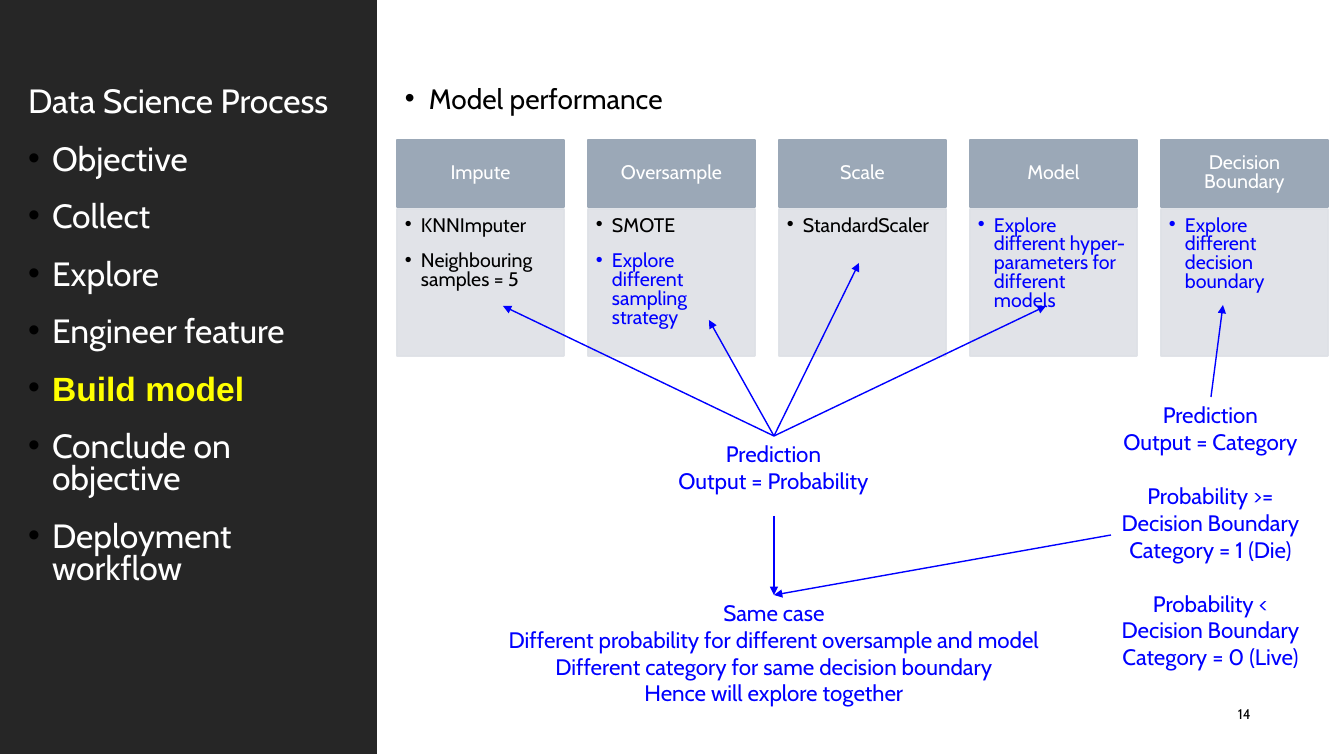
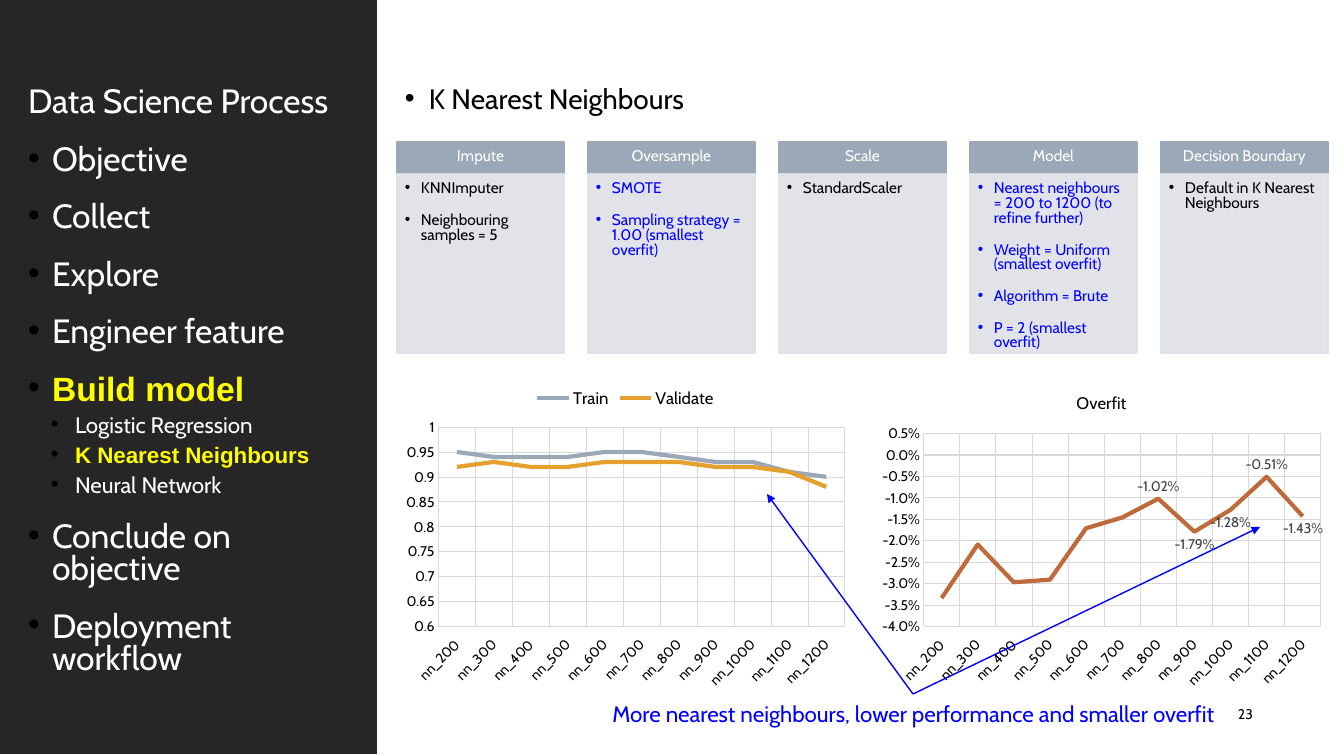
import pptx
import pptx.util
import pptx.dml.color
import pptx.chart.data
import pptx.enum.chart
import pptx.enum.shapes
import pptx.enum.text
import pptx.oxml.ns
import lxml.etree

COLORS = {
    "side": "262626", "header": "9BA8B7", "body": "DEE1E6", "white": "FFFFFF",
    "black": "000000", "active": "FFFF00", "note": "0000FF", "grid": "D9D9D9",
    "label": "404040", "train": "9BA8B7", "validate": "E6A02E", "overfit": "BF6A3B",
}
FONT, ACTIVE_FONT = "Cabin", "Arial"
STEPS = ["Objective", "Collect", "Explore", "Engineer feature", "Build model",
         "Conclude on objective", "Deployment workflow"]
MODELS = ["Logistic Regression", "K Nearest Neighbours", "Neural Network"]
ACTIVE = {"Build model", "K Nearest Neighbours"}

PERFORMANCE = {
    "title": "Model performance", "page": "14", "models": [],
    "layout": {"top": 140, "header": 67, "body_top": 209, "body": 147, "size": 14},
    "columns": [
        ("Impute", [("KNNImputer", "black"), ("Neighbouring samples = 5", "black")]),
        ("Oversample", [("SMOTE", "black"), ("Explore different sampling strategy", "note")]),
        ("Scale", [("StandardScaler", "black")]),
        ("Model", [("Explore different hyper-parameters for different models", "note")]),
        ("Decision Boundary", [("Explore different decision boundary", "note")]),
    ],
    "charts": [],
    "notes": [
        ((674, 436, 199, 80), "top", [["Prediction", "Output = Probability"]]),
        ((1111, 397, 199, 278), "top", [
            ["Prediction", "Output = Category"],
            ["Probability >= Decision Boundary", "Category = 1 (Die)"],
            ["Probability < Decision Boundary", "Category = 0 (Live)"]]),
        ((496, 595, 556, 119), "top", [[
            "Same case",
            "Different probability for different oversample and model",
            "Different category for same decision boundary",
            "Hence will explore together"]]),
    ],
    "arrows": [
        ((774, 436), [(503, 306), (709, 320), (859, 263), (1046, 306)]),
        ((1211, 397), [(1223, 305)]),
        ((774, 516), [(774, 595)]),
        ((1111, 535), [(774, 595)]),
    ],
}
NEIGHBOURS = {
    "title": "K Nearest Neighbours", "page": "23", "models": MODELS,
    "layout": {"top": 142, "header": 31, "body_top": 174, "body": 179, "size": 11},
    "columns": [
        ("Impute", [("KNNImputer", "black"), ("Neighbouring samples = 5", "black")]),
        ("Oversample", [("SMOTE", "note"),
                        ("Sampling strategy = 1.00 (smallest overfit)", "note")]),
        ("Scale", [("StandardScaler", "black")]),
        ("Model", [("Nearest neighbours = 200 to 1200 (to refine further)", "note"),
                   ("Weight = Uniform (smallest overfit)", "note"),
                   ("Algorithm = Brute", "note"),
                   ("P = 2 (smallest overfit)", "note")]),
        ("Decision Boundary", [("Default in K Nearest Neighbours", "black")]),
    ],
    "charts": [
        {"box": (397, 377, 457, 318), "title": None, "scale": (0.6, 1, 0.05),
         "formats": ("General", "General"), "labels": {},
         "series": [
             ("Train", "train", [0.95, 0.94, 0.94, 0.94, 0.95, 0.95, 0.94, 0.93, 0.93, 0.91, 0.9]),
             ("Validate", "validate",
              [0.92, 0.93, 0.92, 0.92, 0.93, 0.93, 0.93, 0.92, 0.92, 0.91, 0.88])]},
        {"box": (873, 377, 457, 318), "title": "Overfit", "scale": (-0.04, 0.005, 0.005),
         "formats": ("0.00%", "0.0%"),
         "labels": {6: "ABOVE", 7: "BELOW", 8: "BELOW", 9: "ABOVE", 10: "BELOW"},
         "series": [
             ("Overfit", "overfit", [-0.0334, -0.0209, -0.0297, -0.0291, -0.0171, -0.0146,
                                     -0.0102, -0.0179, -0.0128, -0.0051, -0.0143])]},
    ],
    "notes": [((596, 694, 635, 40), "middle",
               [["More nearest neighbours, lower performance and smaller overfit"]])],
    "arrows": [((913, 694), [(1260, 527), (767, 494)])],
}
COLUMN_LEFT, COLUMN_STEP, COLUMN_WIDTH = 397, 191, 167


def px(value):
    return pptx.util.Emu(round(value * 914400 / 100.8))


def rgb(name):
    return pptx.dml.color.RGBColor.from_string(COLORS[name])


def sub(parent, tag, **attrs):
    return lxml.etree.SubElement(parent, pptx.oxml.ns.qn(tag), attrs)


def style_font(font, size, color, name=FONT, bold=False):
    font.size = pptx.util.Pt(size)
    font.color.rgb = rgb(color)
    font.name = name
    font.bold = bold


def set_text(tf, paragraphs, inset=8, anchor="top"):
    tf.word_wrap = True
    tf.vertical_anchor = getattr(pptx.enum.text.MSO_ANCHOR, anchor.upper())
    tf.margin_left = tf.margin_right = tf.margin_top = tf.margin_bottom = px(inset)
    for i, item in enumerate(paragraphs):
        p = tf.add_paragraph() if i else tf.paragraphs[0]
        p.text = item["text"]
        style_font(p.runs[0].font, item["size"], item["color"],
                   item.get("font", FONT), item.get("bold", False))
        p.alignment = getattr(pptx.enum.text.PP_ALIGN, item.get("align", "left").upper())
        p.line_spacing = item.get("spacing", 0.8)
        p.space_before = pptx.util.Pt(item.get("before", 0))
        p.space_after = pptx.util.Pt(item.get("after", 0))
        if "bullet" in item:
            left, hang = item["indent"]
            pPr = p._p.get_or_add_pPr()
            pPr.set("marL", str(px(left)))
            pPr.set("indent", str(-px(hang)))
            sub(sub(pPr, "a:buClr"), "a:srgbClr", val=COLORS[item["bullet"]])
            sub(pPr, "a:buFont", typeface="Arial")
            sub(pPr, "a:buChar", char="•")


def add_text(s, box, paragraphs, **options):
    sp = s.shapes.add_textbox(*map(px, box))
    set_text(sp.text_frame, paragraphs, **options)


def add_rect(s, box, color, alpha=None):
    sp = s.shapes.add_shape(pptx.enum.shapes.MSO_SHAPE.RECTANGLE, *map(px, box))
    sp.shadow.inherit = False
    sp.fill.solid()
    sp.fill.fore_color.rgb = rgb(color)
    sp.line.color.rgb = rgb(color)
    sp.line.width = pptx.util.Pt(1.25)
    if alpha:
        for clr in sp._element.spPr.iter(pptx.oxml.ns.qn("a:srgbClr")):
            sub(clr, "a:alpha", val=str(alpha * 1000))
    return sp


def add_frame(s, slide):
    add_rect(s, (0, 0, 377, 754), "side").line.fill.background()
    items = [{"text": "Data Science Process", "size": 24, "color": "white", "after": 18}]
    for step in STEPS:
        models = slide["models"] if step == "Build model" else []
        items.append({"text": step, "size": 24, "indent": (24, 24), "after": 6 if models else 18})
        items += [{"text": model, "size": 16, "indent": (47, 24),
                   "after": 18 if model == models[-1] else 6} for model in models]
    for item in items[1:]:
        active = item["text"] in ACTIVE
        item.update(bullet="black", color="active" if active else "white",
                    font=ACTIVE_FONT if active else FONT, bold=active)
    add_text(s, (20, 80, 338, 596), items)
    add_text(s, (1230, 694, 80, 40),
             [{"text": slide["page"], "size": 10, "color": "black", "spacing": 1}], anchor="middle")
    add_text(s, (397, 80, 913, 596),
             [{"text": slide["title"], "size": 20, "color": "black",
               "bullet": "black", "indent": (24, 24), "after": 12}])


def add_columns(s, columns, layout):
    for i, (heading, points) in enumerate(columns):
        left, size = COLUMN_LEFT + i * COLUMN_STEP, layout["size"]
        header = add_rect(s, (left, layout["top"], COLUMN_WIDTH, layout["header"]), "header")
        set_text(header.text_frame,
                 [{"text": heading, "size": size, "color": "white", "align": "center"}],
                 anchor="middle")
        body = add_rect(s, (left, layout["body_top"], COLUMN_WIDTH, layout["body"]), "body", 90)
        set_text(body.text_frame,
                 [{"text": text, "size": size, "color": color, "bullet": color,
                   "indent": (16, 16), "after": 12} for text, color in points])


def add_line_chart(s, spec_data):
    data_format, axis_format = spec_data["formats"]
    data = pptx.chart.data.CategoryChartData(number_format=data_format)
    data.categories = [f"nn_{n}" for n in range(200, 1201, 100)]
    for name, _, values in spec_data["series"]:
        data.add_series(name, values)
    chart = s.shapes.add_chart(pptx.enum.chart.XL_CHART_TYPE.LINE,
                               *map(px, spec_data["box"]), data).chart
    style_font(chart.font, 10, "black")
    chart.has_title = bool(spec_data["title"])
    chart.has_legend = not chart.has_title
    if chart.has_title:
        chart.chart_title.text_frame.text = spec_data["title"]
        style_font(chart.chart_title.text_frame.paragraphs[0].runs[0].font, 12, "black")
    else:
        chart.legend.position = pptx.enum.chart.XL_LEGEND_POSITION.TOP
        chart.legend.include_in_layout = False
        style_font(chart.legend.font, 12, "black")
    for axis in (chart.category_axis, chart.value_axis):
        axis.major_tick_mark = axis.minor_tick_mark = pptx.enum.chart.XL_TICK_MARK.NONE
        axis.has_major_gridlines = True
        axis.major_gridlines.format.line.color.rgb = rgb("grid")
        axis.major_gridlines.format.line.width = pptx.util.Pt(0.5)
        style_font(axis.tick_labels.font, 10, "black")
    category, value = chart.category_axis, chart.value_axis
    category.tick_label_position = pptx.enum.chart.XL_TICK_LABEL_POSITION.LOW
    category.format.line.color.rgb = rgb("grid")
    category.format.line.width = pptx.util.Pt(0.75)
    category._element.find(".//" + pptx.oxml.ns.qn("a:bodyPr")).set("rot", "-2700000")
    value.format.line.fill.background()
    value.minimum_scale, value.maximum_scale, value.major_unit = spec_data["scale"]
    value.tick_labels.number_format = axis_format
    value.tick_labels.number_format_is_linked = False
    chart.plots[0].vary_by_categories = False
    for series, (_, color, _) in zip(chart.plots[0].series, spec_data["series"]):
        series.smooth = False
        series.format.line.color.rgb = rgb(color)
        series.format.line.width = pptx.util.Pt(3)
        series.marker.style = pptx.enum.chart.XL_MARKER_STYLE.NONE
        series.data_labels.show_value = False
        for index, place in spec_data["labels"].items():
            label = series.points[index].data_label
            style_font(label.font, 10, "label")
            label.position = getattr(pptx.enum.chart.XL_LABEL_POSITION, place)


def add_note(s, box, anchor, groups):
    add_text(s, box, [
        {"text": text, "size": 16, "color": "note", "align": "center", "spacing": 1,
         "before": 19.4 if g and not i else 0}
        for g, group in enumerate(groups) for i, text in enumerate(group)],
        inset=4, anchor=anchor)


def add_arrow(s, start, end):
    line = s.shapes.add_connector(pptx.enum.shapes.MSO_CONNECTOR.STRAIGHT,
                                  *map(px, start + end))
    line.line.color.rgb = rgb("note")
    line.line.width = pptx.util.Pt(1)
    sub(line.line._get_or_add_ln(), "a:tailEnd", type="triangle")
    sub(line._element.spPr, "a:effectLst")


def main():
    prs = pptx.Presentation()
    prs.slide_width, prs.slide_height = px(1344), px(756)
    for slide in (PERFORMANCE, NEIGHBOURS):
        s = prs.slides.add_slide(prs.slide_layouts[6])
        add_frame(s, slide)
        add_columns(s, slide["columns"], slide["layout"])
        for chart in slide["charts"]:
            add_line_chart(s, chart)
        for note in slide["notes"]:
            add_note(s, *note)
        for start, ends in slide["arrows"]:
            for end in ends:
                add_arrow(s, start, end)
    prs.save("out.pptx")


if __name__ == "__main__":
    main()
